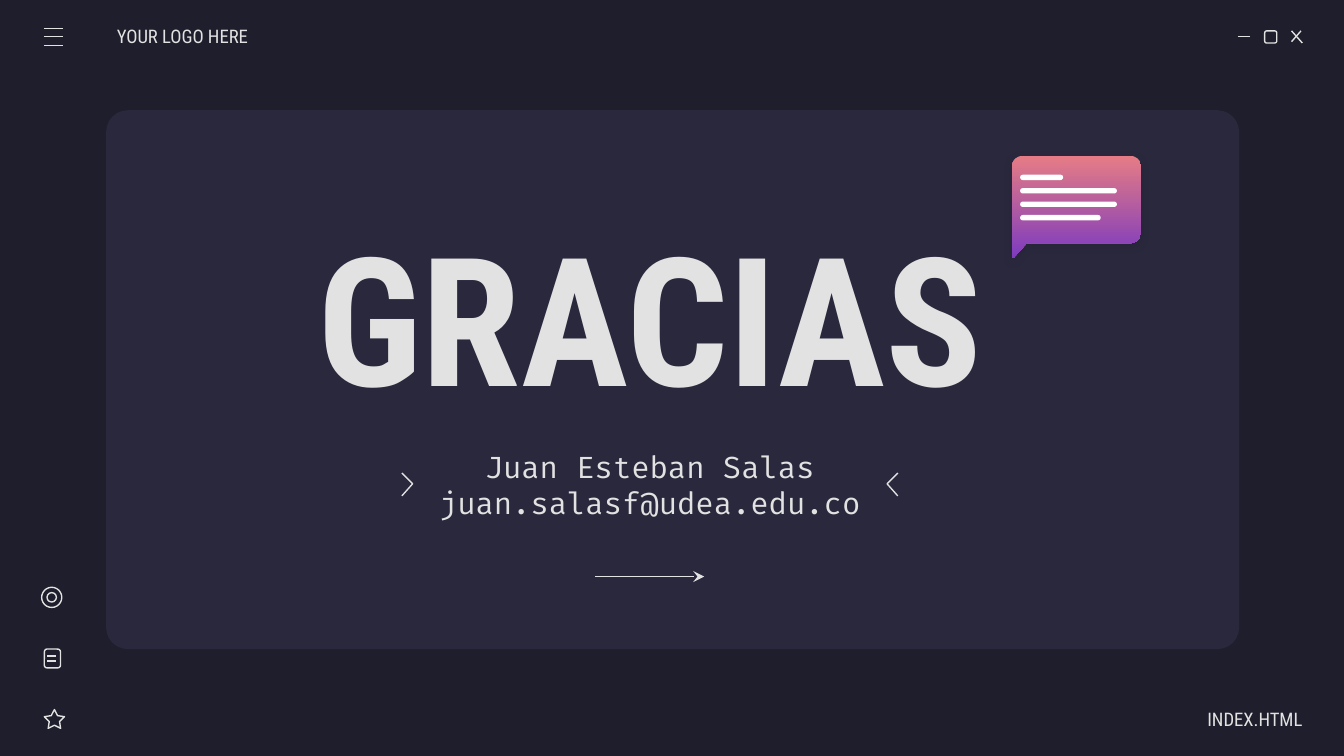
from math import cos, radians, sin

from lxml.etree import SubElement
from pptx import Presentation
from pptx.dml.color import RGBColor
from pptx.enum.shapes import MSO_CONNECTOR, MSO_SHAPE
from pptx.enum.text import MSO_ANCHOR, PP_ALIGN
from pptx.oxml.ns import qn
from pptx.util import Inches, Pt

COLORS = {
    "background": "1E1E2C",
    "panel": "29283D",
    "light": "E2E2E2",
    "white": "FFFFFF",
    "coral": "E57C85",
    "violet": "7E3BBE",
}
HEADING_FONT = "Roboto Condensed"
CODE_FONT = "Fira Code"


def color(name):
    return RGBColor.from_string(COLORS[name])


def outline(shape):
    shape.line.color.rgb = color("light")
    shape.line.width = Pt(0.75)


def add_panel(page, kind, left, top, width, height, fill=None, adjustment=None):
    """Add a preset shape: filled without a line, or outlined when fill is None."""
    shape = page.shapes.add_shape(
        kind, Inches(left), Inches(top), Inches(width), Inches(height))
    shape.shadow.inherit = False
    if adjustment is not None:
        shape.adjustments[0] = adjustment
    if fill:
        shape.fill.solid()
        shape.fill.fore_color.rgb = color(fill)
        shape.line.fill.background()
    else:
        shape.fill.background()
        outline(shape)


def add_line(page, x1, y1, x2, y2, arrow=False):
    line = page.shapes.add_connector(
        MSO_CONNECTOR.STRAIGHT, Inches(x1), Inches(y1), Inches(x2), Inches(y2))
    outline(line)
    properties = line._element.spPr
    if arrow:
        SubElement(properties.find(qn("a:ln")), qn("a:tailEnd"), type="stealth")
    SubElement(properties, qn("a:effectLst"))


def add_text(page, left, top, width, height, lines, size, font=HEADING_FONT,
             align=PP_ALIGN.CENTER, bold=False, margins=(0.1, 0.1)):
    box = page.shapes.add_textbox(
        Inches(left), Inches(top), Inches(width), Inches(height))
    frame = box.text_frame
    frame.word_wrap = True
    frame.vertical_anchor = MSO_ANCHOR.MIDDLE
    frame.margin_left, frame.margin_right = (Inches(m) for m in margins)
    frame.margin_top = frame.margin_bottom = Inches(0.1)
    frame.text = "\n".join(lines)
    for para in frame.paragraphs:
        para.alignment = align
        para.font.name = font
        para.font.size = Pt(size)
        para.font.bold = bold
        para.font.color.rgb = color("light")


def add_freeform(page, points, close):
    (start_x, start_y), *rest = [(Inches(x), Inches(y)) for x, y in points]
    builder = page.shapes.build_freeform(start_x, start_y)
    builder.add_line_segments(rest, close=close)
    shape = builder.convert_to_shape()
    shape.shadow.inherit = False
    return shape


def arc(center_x, center_y, radius, start, end, steps=8):
    """Points along an arc, with angles in degrees clockwise from the right."""
    angles = [radians(start + (end - start) * i / steps) for i in range(steps + 1)]
    return [(center_x + radius * cos(a), center_y + radius * sin(a)) for a in angles]


def add_chevron(page, open_x, tip_x):
    chevron = add_freeform(
        page, [(open_x, 3.52), (tip_x, 3.6), (open_x, 3.69)], close=False)
    chevron.fill.background()
    outline(chevron)


def add_speech_bubble(page):
    points = [
        *arc(7.61, 1.24, 0.08, 180, 270),
        *arc(8.41, 1.24, 0.08, 270, 360),
        *arc(8.41, 1.73, 0.08, 0, 90),
        (7.64, 1.81),
        (7.55, 1.91),
        *arc(7.54, 1.91, 0.01, 0, 180),
    ]
    bubble = add_freeform(page, points, close=True)
    bubble.line.fill.background()
    bubble.fill.gradient()
    bubble.fill.gradient_angle = 270
    for stop, position, name in zip(
            bubble.fill.gradient_stops, (0, 1), ("coral", "violet")):
        stop.position = position
        stop.color.rgb = color(name)
    add_soft_shadow(bubble)
    for top, width in zip((1.3, 1.4, 1.5, 1.6), (0.32, 0.72, 0.72, 0.6)):
        add_panel(page, MSO_SHAPE.ROUNDED_RECTANGLE, 7.59, top, width, 0.04,
                  "white", 0.5)


def add_soft_shadow(shape):
    effects = shape._element.spPr.find(qn("a:effectLst"))
    shadow = SubElement(effects, qn("a:outerShdw"), blurRad=str(Pt(4.5)),
                        dist=str(Pt(1.5)), dir="5400000", rotWithShape="0")
    tint = SubElement(shadow, qn("a:srgbClr"), val=COLORS["background"])
    SubElement(tint, qn("a:alpha"), val="30000")


def add_window_controls(page):
    add_line(page, 9.21, 0.27, 9.3, 0.27)
    add_panel(page, MSO_SHAPE.ROUNDED_RECTANGLE, 9.41, 0.23, 0.09, 0.09)
    add_line(page, 9.61, 0.23, 9.69, 0.32)
    add_line(page, 9.68, 0.23, 9.61, 0.31)


def add_menu_icon(page):
    for y in (0.21, 0.34, 0.27):
        add_line(page, 0.33, y, 0.47, y)


def add_side_icons(page):
    add_panel(page, MSO_SHAPE.STAR_5_POINT, 0.33, 5.28, 0.15, 0.14, adjustment=0.254)
    add_panel(page, MSO_SHAPE.ROUNDED_RECTANGLE, 0.33, 4.83, 0.12, 0.14)
    for y in (4.88, 4.92):
        add_line(page, 0.35, y, 0.42, y)
    for inset in (0, 0.04):
        size = 0.15 - 2 * inset
        add_panel(page, MSO_SHAPE.OVAL, 0.31 + inset, 4.37 + inset, size, size)


def main():
    deck = Presentation()
    deck.slide_width = Inches(10)
    deck.slide_height = deck.slide_width * 9 // 16
    page = deck.slides.add_slide(deck.slide_layouts[6])
    page.background.fill.solid()
    page.background.fill.fore_color.rgb = color("background")

    add_panel(page, MSO_SHAPE.ROUNDED_RECTANGLE, 0.79, 0.82, 8.43, 4.01, "panel", 0.04)
    add_window_controls(page)
    add_text(page, 0.87, 0.12, 1.17, 0.3, ["YOUR LOGO HERE"], 10,
             align=PP_ALIGN.LEFT, margins=(0, 0.1))
    add_menu_icon(page)
    add_side_icons(page)
    add_text(page, 8.52, 5.2, 1.17, 0.3, ["INDEX.HTML"], 10,
             align=PP_ALIGN.RIGHT, margins=(0.1, 0))
    add_text(page, 1.89, 1.52, 5.89, 1.64, ["GRACIAS"], 96, bold=True)
    add_text(page, 3.07, 3.28, 3.53, 0.65,
             ["Juan Esteban Salas", "juan.salasf@udea.edu.co"], 16, font=CODE_FONT)
    add_speech_bubble(page)
    add_line(page, 4.43, 4.29, 5.24, 4.29, arrow=True)
    add_chevron(page, 2.99, 3.07)
    add_chevron(page, 6.68, 6.6)
    deck.save("out.pptx")


if __name__ == "__main__":
    main()
